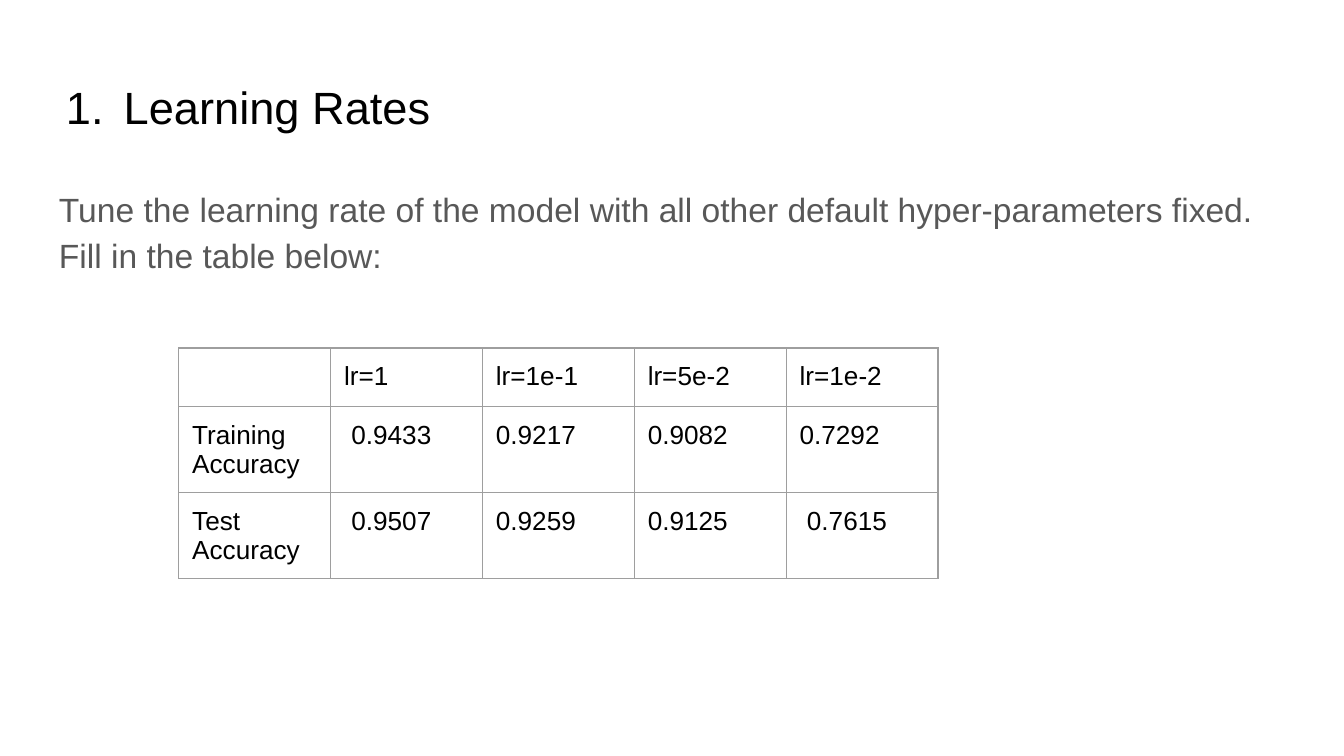
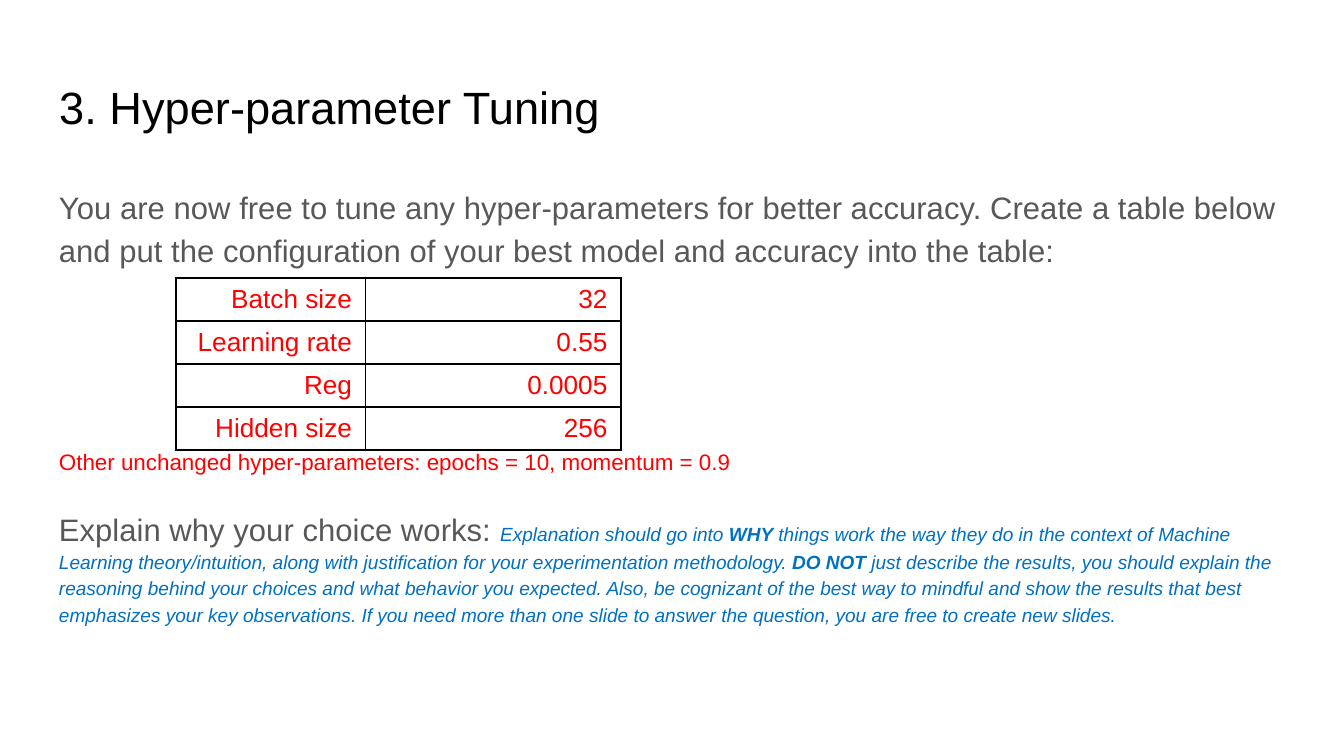
from pptx import Presentation
from pptx.dml.color import RGBColor
from pptx.enum import text
from pptx.oxml.ns import qn
from pptx.util import Inches, Pt
from lxml import etree

HUES = {"ink": "000000", "body": "585858", "grid": "9E9E9E",
        "red": "FF0000", "blue": "0070C0"}
FONT = "Arial"
LEFT, WIDE, PAD = 0.34, 9.32, 0.1


def style(run, size, hue, bold=False, slant=False):
    font = run.font
    font.name, font.size = FONT, Pt(size)
    font.bold, font.italic = bold, slant
    font.color.rgb = RGBColor.from_string(HUES[hue])


def grid(slide, spot, cols, tall, rows, hue, line, width, align, pad):
    """Add a plain table with one border style around every cell."""
    frame = slide.shapes.add_table(
        len(rows), len(cols), Inches(spot[0]), Inches(spot[1]),
        Inches(sum(cols)), Inches(sum(tall)))
    table = frame.table
    table.first_row = table.horz_banding = False
    for col, size in zip(table.columns, cols):
        col.width = Inches(size)
    for row, size, words in zip(table.rows, tall, rows):
        row.height = Inches(size)
        for cell, word in zip(row.cells, words):
            cell.margin_left = cell.margin_right = Inches(PAD)
            cell.margin_top = cell.margin_bottom = Inches(pad)
            par = cell.text_frame.paragraphs[0]
            par.alignment = align
            if word:
                par.text = word
                style(par.runs[0], 14, hue)
            else:
                etree.SubElement(par._p, qn("a:endParaRPr"), sz="1400")
            props = cell._tc.get_or_add_tcPr()
            for side in ("lnL", "lnR", "lnT", "lnB"):
                edge = etree.SubElement(props, qn("a:" + side), w=str(Pt(width)))
                fill = etree.SubElement(edge, qn("a:solidFill"))
                etree.SubElement(fill, qn("a:srgbClr"), val=HUES[line])
            cell.fill.background()


# Each paragraph: space before, then runs of (text, size, colour, bold, italic)
tune = [
    (0, [("Tune the learning rate of the model with all other default "
          "hyper-parameters fixed. Fill in the table below:", 18, "body")]),
]
lead = (16.65, "body")
hint = (10.2, "blue")
best = [
    (0, [("You are now free to tune any hyper-parameters for better accuracy. "
          "Create a table below and put the configuration of your best model "
          "and accuracy into the table:", *lead)]),
    (94, [("Other unchanged hyper-parameters: epochs = 10, momentum = 0.9",
           12, "red")]),
    (16, [("Explain why your choice works: ", *lead),
          ("Explanation should go into ", *hint, False, True),
          ("WHY", *hint, True, True),
          (" things work the way they do in the context of Machine Learning "
           "theory/intuition, along with justification for your "
           "experimentation methodology. ", *hint, False, True),
          ("DO NOT ", *hint, True, True),
          ("just describe the results, you should explain the reasoning "
           "behind your choices and what behavior you expected. Also, be "
           "cognizant of the best way to mindful and show the results that "
           "best emphasizes your key observations. If you need more than one "
           "slide to answer the question, you are free to create new slides.",
           *hint, False, True)]),
]

deck = Presentation()
deck.slide_width = Inches(10)
deck.slide_height = deck.slide_width * 9 // 16
slides = []

for name, pars in (("Learning Rates", tune),
                   ("3. Hyper-parameter Tuning", best)):
    slide = deck.slides.add_slide(deck.slide_layouts[5])
    slides.append(slide)
    title = slide.shapes.title
    title.left, title.top = Inches(LEFT), Inches(0.49)
    title.width, title.height = Inches(WIDE), Inches(0.63)
    title.text_frame.text = name
    head = title.text_frame.paragraphs[0]
    head.alignment = text.PP_ALIGN.LEFT
    style(head.runs[0], 24.2, "ink")

    body = slide.shapes.add_textbox(
        Inches(LEFT), Inches(1.26), Inches(WIDE), Inches(3.74))
    for shape in (title, body):
        frame = shape.text_frame
        frame.word_wrap = True
        frame.auto_size = text.MSO_AUTO_SIZE.NONE
        frame.vertical_anchor = text.MSO_ANCHOR.TOP
        frame.margin_left = frame.margin_right = Inches(PAD)
        frame.margin_top = frame.margin_bottom = Inches(PAD)

    frame = body.text_frame
    for k, (gap, runs) in enumerate(pars):
        par = frame.add_paragraph() if k else frame.paragraphs[0]
        par.line_spacing, par.space_before = 1.15, Pt(gap)
        for words, *look in runs:
            run = par.add_run()
            run.text = words
            style(run, *look)

rates, tuning = slides

# The first title is a numbered item
props = rates.shapes.title.text_frame.paragraphs[0]._p.get_or_add_pPr()
props.set("marL", str(Inches(0.48)))
props.set("indent", str(Inches(-0.43)))
etree.SubElement(props, qn("a:buFont"), typeface=FONT)
etree.SubElement(props, qn("a:buAutoNum"), type="arabicPeriod")

grid(rates, (1.33, 2.59), [1.13] * 5, [0.42, 0.64, 0.64], [
    ("", "lr=1", "lr=1e-1", "lr=5e-2", "lr=1e-2"),
    ("Training Accuracy", " 0.9433", "0.9217", "0.9082", "0.7292"),
    ("Test Accuracy", " 0.9507", "0.9259", "0.9125", " 0.7615"),
], "ink", "grid", 0.75, text.PP_ALIGN.LEFT, PAD)

grid(tuning, (1.31, 2.07), [1.41, 1.9], [0.32] * 4, [
    ("Batch size", "32"),
    ("Learning rate", "0.55"),
    ("Reg", "0.0005"),
    ("Hidden size", "256"),
], "red", "ink", 1, text.PP_ALIGN.RIGHT, 0.05)

deck.save("out.pptx")
